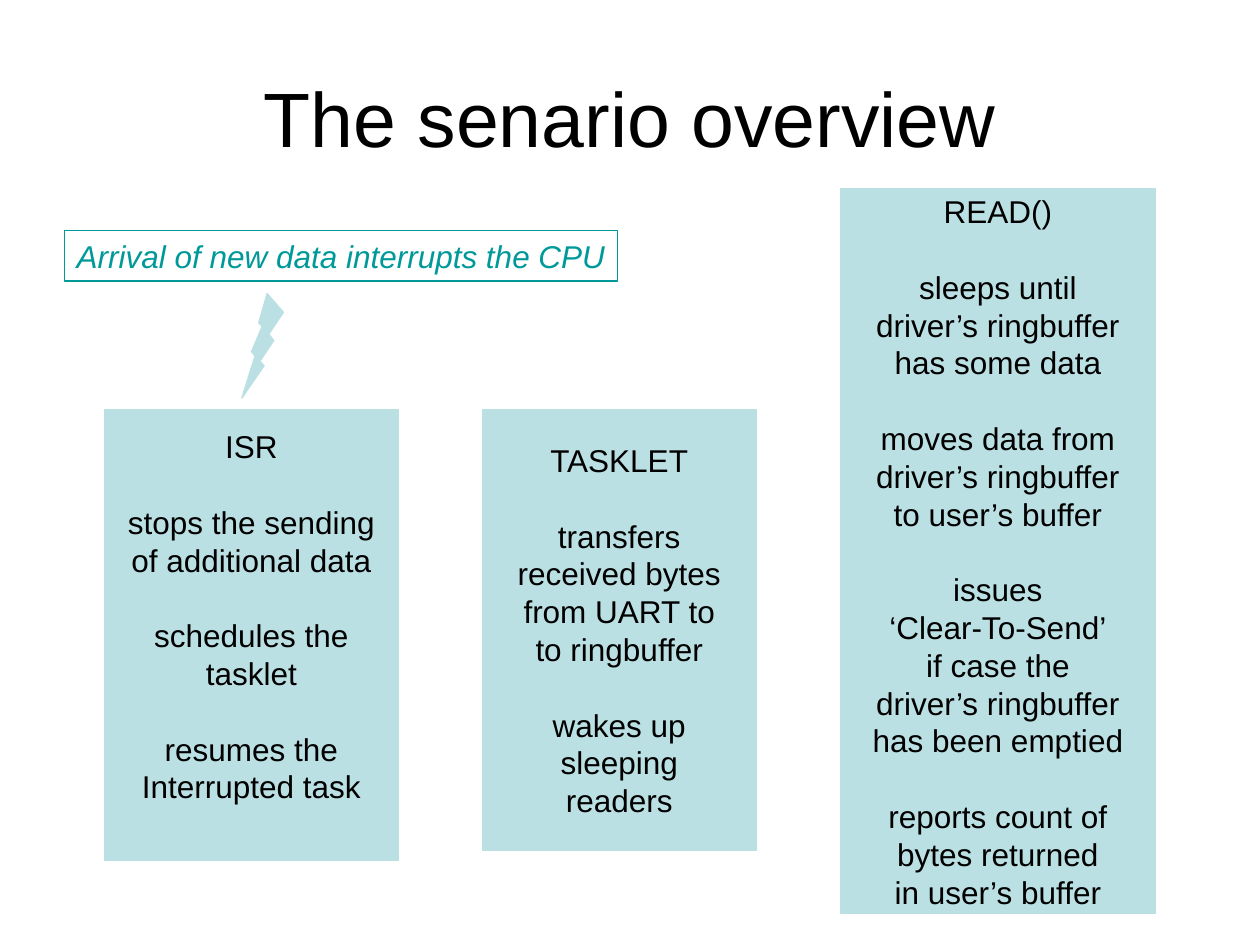
from pptx import Presentation
from pptx.dml.color import RGBColor
from pptx.enum import shapes, text
from pptx.util import Inches, Pt

BLACK = RGBColor(0x00, 0x00, 0x00)
TEAL = RGBColor(0x00, 0x99, 0x99)
PALE_BLUE = RGBColor(0xBB, 0xE0, 0xE3)

FONT = "Arial"
STEP_GAP = 21.6  # one line of body text, in points

TITLE = "The senario overview"
EVENT = "Arrival of new data interrupts the CPU"

# Left, top, width, height, bottom inset, then the steps with their lines
ROUTINES = [
    ((0.83, 3.25, 2.33, 3.58), 0.35, [
        ["ISR"],
        ["stops the sending", "of additional data"],
        ["schedules the", "tasklet"],
        ["resumes the", "Interrupted task"],
    ]),
    ((3.83, 3.25, 2.17, 3.5), 0.05, [
        ["TASKLET"],
        ["transfers", "received bytes", "from UART to", "to ringbuffer"],
        ["wakes up", "sleeping", "readers"],
    ]),
    ((6.67, 1.5, 2.5, 5.75), 0.05, [
        ["READ()"],
        ["sleeps until", "driver’s ringbuffer", "has some data"],
        ["moves data from", "driver’s ringbuffer", "to user’s buffer"],
        ["issues", "‘Clear-To-Send’", "if case the",
         "driver’s ringbuffer", "has been emptied"],
        ["reports count of", "bytes returned", "in user’s buffer"],
    ]),
]


def add_shape(slide, kind, box, fill=None, line=PALE_BLUE):
    shape = slide.shapes.add_shape(kind, *map(Inches, box))
    shape.shadow.inherit = False
    if fill is None:
        shape.fill.background()
    else:
        shape.fill.solid()
        shape.fill.fore_color.rgb = fill
    shape.line.color.rgb = line
    shape.line.width = Pt(0.75)
    return shape


def write(shape, steps, size=18, color=BLACK, italic=False, wrap=False,
          align=text.PP_ALIGN.CENTER, anchor=text.MSO_ANCHOR.MIDDLE,
          right=0.1, bottom=0.05):
    """Write each line as a paragraph, with a gap above every step but the first."""
    frame = shape.text_frame
    frame.word_wrap = wrap
    frame.vertical_anchor = anchor
    frame.margin_right = Inches(right)
    frame.margin_bottom = Inches(bottom)
    lines = [(line, s > 0 and n == 0)
             for s, step in enumerate(steps) for n, line in enumerate(step)]
    for i, (line, opens_step) in enumerate(lines):
        paragraph = frame.add_paragraph() if i else frame.paragraphs[0]
        paragraph.alignment = align
        if opens_step:
            paragraph.space_before = Pt(STEP_GAP)
        run = paragraph.add_run()
        run.text = line
        run.font.name = FONT
        run.font.size = Pt(size)
        run.font.italic = italic
        run.font.color.rgb = color


def main():
    deck = Presentation()
    deck.slide_width, deck.slide_height = Inches(10), Inches(7.5)
    slide = deck.slides.add_slide(deck.slide_layouts[6])

    title = slide.shapes.add_textbox(*map(Inches, (0.5, 0.3, 9, 1.25)))
    write(title, [[TITLE]], size=44, wrap=True)

    rectangle = shapes.MSO_SHAPE.RECTANGLE
    for box, bottom, steps in ROUTINES:
        routine = add_shape(slide, rectangle, box, fill=PALE_BLUE)
        write(routine, steps, bottom=bottom)

    # The narrow right inset leaves room for the caption on one line
    event = add_shape(slide, rectangle, (0.51, 1.83, 4.39, 0.4), line=TEAL)
    write(event, [[EVENT]], color=TEAL, italic=True, wrap=True, right=0,
          align=text.PP_ALIGN.LEFT, anchor=text.MSO_ANCHOR.TOP)

    interrupt = add_shape(slide, shapes.MSO_SHAPE.LIGHTNING_BOLT,
                          (1.92, 2.33, 0.33, 0.83), fill=PALE_BLUE)
    interrupt.element.spPr.xfrm.set("flipH", "1")

    deck.save("out.pptx")


if __name__ == "__main__":
    main()
